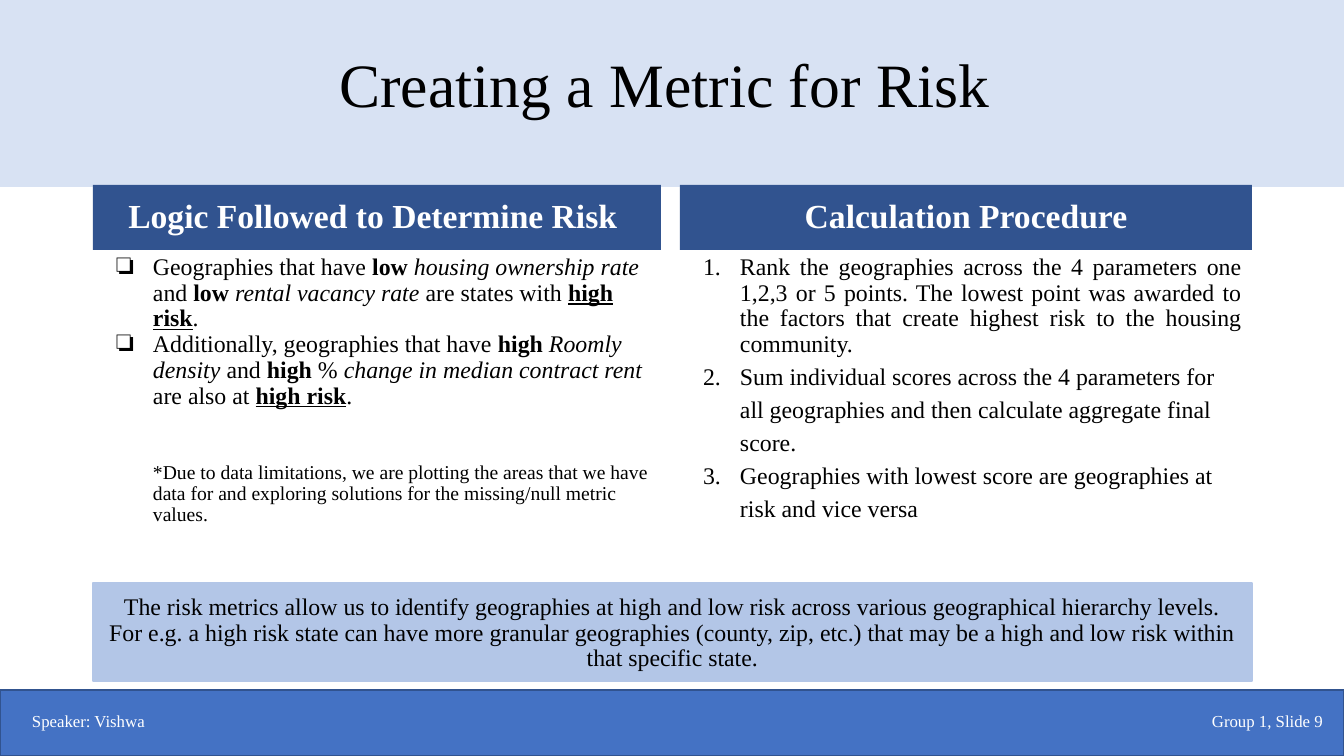
from lxml.etree import SubElement
from pptx import Presentation
from pptx.dml.color import RGBColor
from pptx.enum.shapes import MSO_SHAPE as Shape
from pptx.enum.text import MSO_ANCHOR as Anchor, PP_ALIGN as Align
from pptx.oxml.ns import qn
from pptx.util import Pt

# Content: a paragraph is a list of (text, style); b bold, i italic, u underlined
TITLE = "Creating a Metric for Risk "
HEADINGS = ["Logic Followed to Determine Risk ", "Calculation Procedure"]
LOGIC = [
    [("Geographies that have ", ""), ("low ", "b"), ("housing ownership rate", "i"),
     (" and ", ""), ("low ", "b"), ("rental vacancy rate", "i"),
     (" are states with ", ""), ("high risk", "bu"), (".", "")],
    [("Additionally, geographies that have ", ""), ("high ", "b"),
     ("Roomly density", "i"), (" and ", ""), ("high", "b"), (" % ", ""),
     ("change in median contract rent", "i"), (" are also at ", ""),
     ("high risk", "bu"), (".", "")],
]
NOTE = ("*Due to data limitations, we are plotting the areas that we have data for "
        "and exploring solutions for the missing/null metric values.")
# Step, alignment, line spacing
STEPS = [
    ("Rank the geographies across the 4 parameters one 1,2,3 or 5 points. The lowest "
     "point was awarded to the factors that create highest risk to the housing "
     "community.", Align.JUSTIFY, 0.9),
    ("Sum individual scores across the 4 parameters for all geographies and then "
     "calculate aggregate final score.", Align.LEFT, 1.15),
    ("Geographies with lowest score are geographies at risk and vice versa",
     Align.LEFT, 1.15),
]
SUMMARY = ("The risk metrics allow us to identify geographies at high and low risk across "
           "various geographical hierarchy levels. For e.g. a high risk state can have "
           "more granular geographies (county, zip, etc.) that may be a high and low risk "
           "within that specific state.")
SPEAKER, PAGE_LABEL = "Speaker: Vishwa", "Group 1, Slide 9"

FONT = "Times New Roman"
BLACK, WHITE = "000000", "FFFFFF"
PALE, LIGHT, BLUE, NAVY = "D8E2F3", "B3C6E7", "4472C4", "31538F"

# Layout in px
WIDTH, HEIGHT = 1344, 756
COLUMNS = [(93, 568), (680, 572)]  # left, width
HEAD_TOP, HEAD_HEIGHT, BODY_HEIGHT = 185, 65, 294
INDENT, HANGING = 50, 37


def px(length):
    return round(length * 9071.43)


def color(code):
    return RGBColor.from_string(code)


def set_frame(box, anchor, side=10, top=5):
    frame = box.text_frame
    frame.word_wrap = True
    frame.vertical_anchor = anchor
    frame.margin_left = frame.margin_right = px(side)
    frame.margin_top = frame.margin_bottom = px(top)


def add_bar(left, top, width, height, fill, line=None):
    bar = page.shapes.add_shape(Shape.RECTANGLE, px(left), px(top), px(width), px(height))
    bar.shadow.inherit = False
    bar.fill.solid()
    bar.fill.fore_color.rgb = color(fill)
    if line:
        bar.line.color.rgb = color(line)
        bar.line.width = Pt(1)
    else:
        bar.line.fill.background()
    set_frame(bar, Anchor.MIDDLE)
    return bar


def add_text_box(left, top, width, height, anchor=Anchor.MIDDLE):
    box = page.shapes.add_textbox(px(left), px(top), px(width), px(height))
    set_frame(box, anchor)
    return box


def add_para(box, spans, size, ink=BLACK, align=Align.LEFT, spacing=0.9, before=0):
    frame = box.text_frame
    para = frame.paragraphs[0]
    if para.runs:
        para = frame.add_paragraph()
    para.alignment = align
    para.line_spacing = spacing
    para.space_before = Pt(before)
    for text, style in spans:
        span = para.add_run()
        span.text = text
        font = span.font
        font.name, font.size = FONT, Pt(size)
        font.color.rgb = color(ink)
        font.bold, font.italic, font.underline = (mark in style for mark in "biu")
    return para


def indent(para, hanging=0, bullet=None, **settings):
    props = para._p.get_or_add_pPr()
    props.set("marL", str(px(INDENT)))
    props.set("indent", str(-px(hanging)))
    if bullet:
        ink = SubElement(props, qn("a:buClr"))
        SubElement(ink, qn("a:srgbClr"), val=BLACK)
        SubElement(props, qn("a:buFont"), typeface=FONT)
        SubElement(props, qn(bullet), **settings)


deck = Presentation()
deck.slide_width, deck.slide_height = px(WIDTH), px(HEIGHT)
page = deck.slides.add_slide(deck.slide_layouts[6])

# Bands and title
add_bar(0, 0, WIDTH, 186, PALE, PALE)
add_bar(0, 690, WIDTH, 66, BLUE, NAVY)
title = add_text_box(93, 15, 1159, 146)
add_para(title, [(TITLE, "")], 44, align=Align.CENTER)

# Column headings and bodies
bodies = []
for heading, (left, width) in zip(HEADINGS, COLUMNS):
    bar = add_bar(left, HEAD_TOP, width, HEAD_HEIGHT, NAVY)
    add_para(bar, [(heading, "b")], 24, WHITE, Align.CENTER)
    bodies.append(add_text_box(left, HEAD_TOP + HEAD_HEIGHT, width, BODY_HEIGHT, Anchor.TOP))
logic, procedure = bodies

for spans in LOGIC:
    indent(add_para(logic, spans, 17), HANGING, "a:buChar", char="❏")
indent(add_para(logic, [(NOTE, "")], 14, before=38))

for text, align, spacing in STEPS:
    step = add_para(procedure, [(text, "")], 17, align=align, spacing=spacing)
    indent(step, HANGING, "a:buAutoNum", type="arabicPeriod")

# Summary
summary = add_bar(93, 583, 1159, 98, LIGHT, LIGHT)
set_frame(summary, Anchor.TOP, side=16, top=12)
add_para(summary, [(SUMMARY, "")], 17, align=Align.CENTER)

# Footer
for text, left, width, align in [(SPEAKER, 22, 155, Align.LEFT),
                                 (PAGE_LABEL, 1031, 302, Align.RIGHT)]:
    footer = add_text_box(left, 701, width, 40)
    add_para(footer, [(text, "")], 12, WHITE, align, spacing=1.0)

deck.save("out.pptx")
